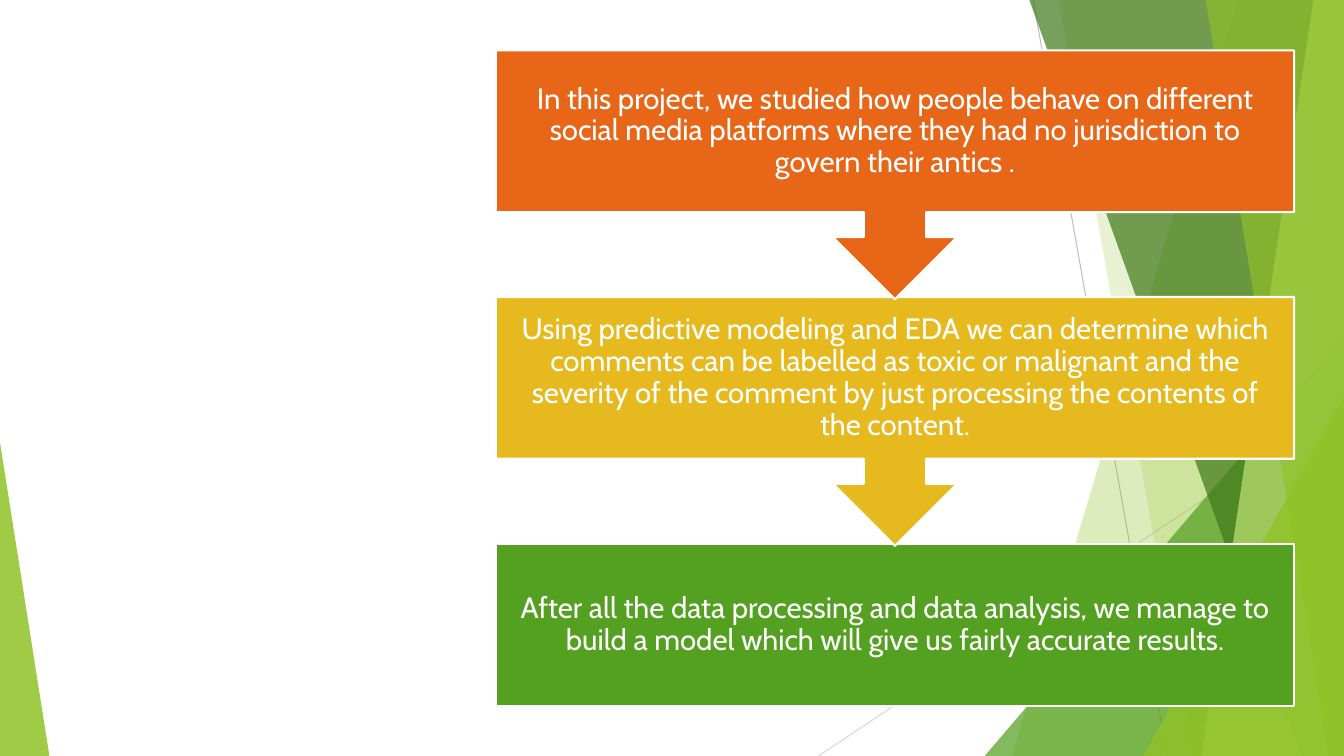
"""Build a slide with three conclusion steps over a faceted green backdrop."""
from dataclasses import dataclass

from lxml import etree
from pptx import Presentation
from pptx import util as u
from pptx.dml.color import RGBColor
from pptx.enum import shapes, text
from pptx.oxml.ns import qn


@dataclass(frozen=True)
class Theme:
    white: str = "FFFFFF"
    lime: str = "90C226"
    pale_lime: str = "C0E474"
    green: str = "54A021"
    dark_green: str = "3F7819"
    gold: str = "E6B91E"
    orange: str = "E76618"
    ray: str = "BFBFBF"
    pale_ray: str = "D9D9D9"
    font: str = "Cabin"
    step_size: float = 21


@dataclass(frozen=True)
class Ray:
    start: tuple[float, float]
    end: tuple[float, float]
    color: str


@dataclass(frozen=True)
class Band:
    top_x: float
    bottom_x: float
    color: str
    opacity: int


@dataclass(frozen=True)
class Wedge:
    left: float
    top: float
    width: float
    apex: float
    color: str
    opacity: int


@dataclass(frozen=True)
class Step:
    wording: str
    color: str
    outline: shapes.MSO_SHAPE
    height: float


THEME = Theme()
WIDTH, HEIGHT = 960, 540
BAND_TOP = -0.6
STEP_LEFT, STEP_TOP, STEP_WIDTH, STEP_PITCH = 354.2, 36, 570.2, 176.2
CALLOUT_HEIGHT, BOX_HEIGHT = 177.8, 115.9
STEP_INSET = 11.5

RAYS = [
    Ray((738, 0), (833.8, HEIGHT), THEME.ray),
    Ray((WIDTH, 290.2), (584.6, HEIGHT), THEME.pale_ray),
]
FACETS = [
    Band(884.2, 722.9, THEME.lime, 30),
    Band(756, 851.8, THEME.lime, 20),
    Wedge(703.4, 239.8, 256.6, 1, THEME.green, 72),
    Band(735.1, 929.5, THEME.dark_green, 70),
    Band(938.2, 858.2, THEME.pale_lime, 70),
    Band(861.1, 949, THEME.lime, 65),
    Wedge(816.5, 283, 143.5, 1, THEME.lime, 80),
    Wedge(0, 316.1, 35.3, 0, THEME.lime, 85),
]
STEPS = [
    Step("In this project, we studied how people behave on different social media "
         "platforms where they had no jurisdiction to govern their antics .",
         THEME.orange, shapes.MSO_SHAPE.DOWN_ARROW_CALLOUT, CALLOUT_HEIGHT),
    Step("Using predictive modeling and EDA we can determine which comments can be "
         "labelled as toxic or malignant and the severity of the comment by just "
         "processing the contents of the content.",
         THEME.gold, shapes.MSO_SHAPE.DOWN_ARROW_CALLOUT, CALLOUT_HEIGHT),
    Step("After all the data processing and data analysis, we manage to build a model "
         "which will give us fairly accurate results.",
         THEME.green, shapes.MSO_SHAPE.RECTANGLE, BOX_HEIGHT),
]


def paint(part, color: str, opacity: int = 100) -> None:
    """Give a part a flat fill of the given opacity, without shadow."""
    part.shadow.inherit = False
    part.fill.solid()
    part.fill.fore_color.rgb = RGBColor.from_string(color)
    if opacity < 100:
        shade = part.fill._xPr.find(f".//{qn('a:srgbClr')}")
        etree.SubElement(shade, qn("a:alpha"), val=str(opacity * 1000))


def write(part, wording: str, *, size: float, color: str, font: str, inset: float) -> None:
    """Put centred, wrapped text into a part."""
    frame = part.text_frame
    frame.word_wrap = True
    frame.vertical_anchor = text.MSO_ANCHOR.MIDDLE
    frame.margin_left = frame.margin_right = u.Pt(inset)
    frame.margin_top = frame.margin_bottom = u.Pt(inset)
    paragraph = frame.paragraphs[0]
    paragraph.alignment = text.PP_ALIGN.CENTER
    paragraph.line_spacing = 0.9
    paragraph.space_after = u.Pt(0.35 * size)
    run = paragraph.add_run()
    run.text = wording
    run.font.size = u.Pt(size)
    run.font.name = font
    run.font.color.rgb = RGBColor.from_string(color)


def draw_ray(backdrop, ray: Ray) -> None:
    """Draw one thin line of the backdrop."""
    line = backdrop.shapes.add_connector(
        shapes.MSO_CONNECTOR.STRAIGHT, *map(u.Pt, ray.start + ray.end))
    line.line.color.rgb = RGBColor.from_string(ray.color)
    line.line.width = u.Pt(0.75)
    etree.SubElement(line._element.spPr, qn("a:effectLst"))


def draw_facet(backdrop, facet: Band | Wedge) -> None:
    """Draw one translucent band or wedge of the backdrop."""
    if isinstance(facet, Band):
        outline = backdrop.shapes.build_freeform(u.Pt(facet.top_x), u.Pt(BAND_TOP))
        corners = [(WIDTH, BAND_TOP), (WIDTH, HEIGHT), (facet.bottom_x, HEIGHT)]
        outline.add_line_segments([(u.Pt(x), u.Pt(y)) for x, y in corners])
        pane = outline.convert_to_shape()
    else:
        pane = backdrop.shapes.add_shape(
            shapes.MSO_SHAPE.ISOSCELES_TRIANGLE, u.Pt(facet.left), u.Pt(facet.top),
            u.Pt(facet.width), u.Pt(HEIGHT - facet.top))
        pane.adjustments[0] = facet.apex
    paint(pane, facet.color, facet.opacity)
    pane.line.fill.background()


def draw_step(process, step: Step, top: float) -> None:
    """Draw one step of the process with its wording."""
    box = process.shapes.add_shape(
        step.outline, u.Pt(STEP_LEFT), u.Pt(top), u.Pt(STEP_WIDTH), u.Pt(step.height))
    paint(box, step.color)
    box.line.color.rgb = RGBColor.from_string(THEME.white)
    box.line.width = u.Pt(1.5)
    write(box, step.wording, size=THEME.step_size, color=THEME.white,
          font=THEME.font, inset=STEP_INSET)


def main() -> None:
    """Build and save the slide."""
    deck = Presentation()
    deck.slide_width, deck.slide_height = u.Pt(WIDTH), u.Pt(HEIGHT)
    slide = deck.slides.add_slide(deck.slide_layouts[6])
    backdrop = slide.shapes.add_group_shape()
    for ray in RAYS:
        draw_ray(backdrop, ray)
    for facet in FACETS:
        draw_facet(backdrop, facet)
    process = slide.shapes.add_group_shape()
    for index, step in reversed(list(enumerate(STEPS))):
        draw_step(process, step, STEP_TOP + index * STEP_PITCH)
    deck.save("out.pptx")


if __name__ == "__main__":
    main()
